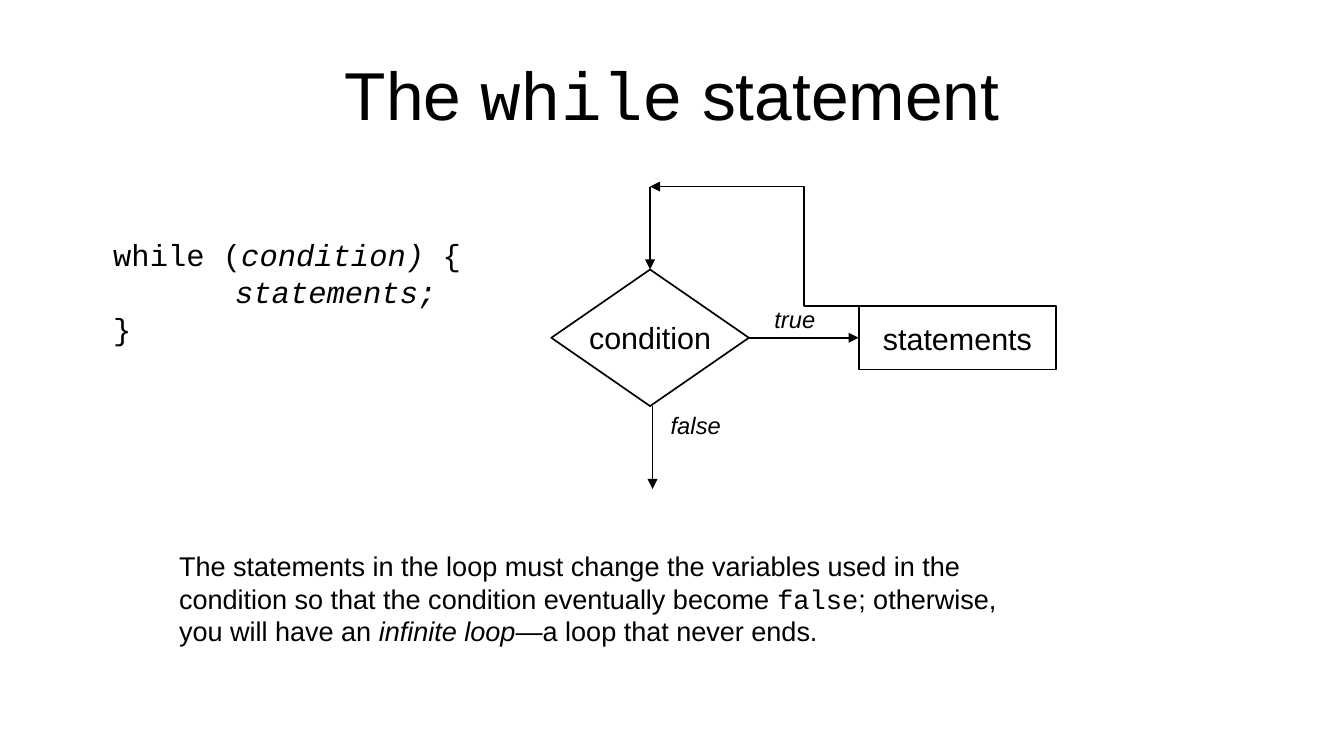
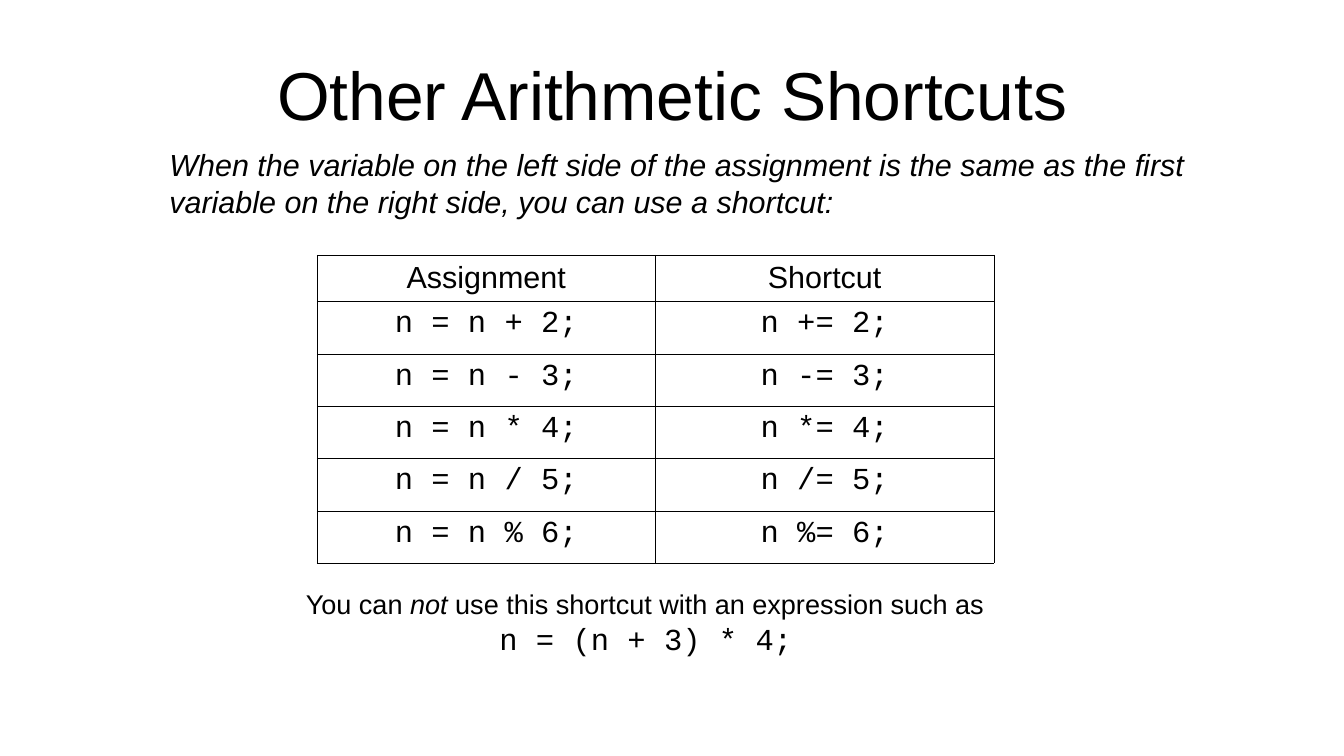
from dataclasses import dataclass

from pptx import Presentation
from pptx.dml.color import RGBColor
from pptx.enum.shapes import MSO_CONNECTOR as Link, MSO_SHAPE as Preset
from pptx.enum.text import MSO_ANCHOR as Anchor, MSO_AUTO_SIZE as AutoSize, PP_ALIGN as Align
from pptx.oxml.ns import qn
from pptx.oxml.xmlchemy import OxmlElement
from pptx.util import Emu, Inches, Pt

# Shared look
INK = RGBColor(0x00, 0x00, 0x00)
PAPER = RGBColor(0xFF, 0xFF, 0xFF)
SANS = {"name": "Arial"}
CODE = {"name": "Courier New"}
ITALIC = {"italic": True}
TITLE_SIZE, MAIN_SIZE, NOTE_SIZE, LABEL_SIZE = Pt(40), Pt(18), Pt(16), Pt(14)
STROKE = Pt(1)
HAIRLINE = 762
TEXT_INSETS = (0.1, 0.05)
NODE_INSETS = (0.11, 0.06)


@dataclass
class Box:
    """An area whose inner areas are given as percentages of its width and height."""
    left: int
    top: int
    width: int
    height: int

    def point(self, x, y):
        return (Emu(round(self.left + self.width * x / 100)),
                Emu(round(self.top + self.height * y / 100)))

    def area(self, x, y, w, h):
        return Box(*self.point(x, y), Emu(round(self.width * w / 100)),
                   Emu(round(self.height * h / 100)))

    def bounds(self):
        return self.left, self.top, self.width, self.height


def apply_format(target, values):
    for attribute, value in values.items():
        setattr(target, attribute, value)


def write(frame, paragraphs, size, align=Align.LEFT):
    """Each paragraph is a list of (words, font format) pairs."""
    for index, pieces in enumerate(paragraphs):
        paragraph = frame.paragraphs[0] if index == 0 else frame.add_paragraph()
        paragraph.alignment = align
        for words, font_format in pieces:
            run = paragraph.add_run()
            run.text = words
            apply_format(run.font, {"size": size, "italic": False, **SANS, **font_format})
            run.font.color.rgb = INK


def set_frame(frame, insets, anchor=Anchor.TOP, wrap=True):
    across, down = map(Inches, insets)
    apply_format(frame, {
        "auto_size": AutoSize.NONE, "word_wrap": wrap, "vertical_anchor": anchor,
        "margin_left": across, "margin_right": across,
        "margin_top": down, "margin_bottom": down,
    })


def add_text(slide, box, paragraphs, size, wrap=True):
    frame = slide.shapes.add_textbox(*box.bounds()).text_frame
    set_frame(frame, TEXT_INSETS, wrap=wrap)
    write(frame, paragraphs, size)
    return frame


def add_titled_slide(prs, page, title):
    slide = prs.slides.add_slide(prs.slide_layouts[5])
    heading = slide.shapes.title
    left, top, width, height = page.area(5, 4.03, 90, 16.77).bounds()
    apply_format(heading, {"left": left, "top": top, "width": width, "height": height})
    set_frame(heading.text_frame, (0, 0), Anchor.MIDDLE)
    write(heading.text_frame, [title], TITLE_SIZE, Align.CENTER)
    return slide


# Flow chart elements
def add_node(slide, preset, box, words):
    node = slide.shapes.add_shape(preset, *box.bounds())
    node.shadow.inherit = False
    node.fill.solid()
    node.fill.fore_color.rgb = PAPER
    node.line.color.rgb = INK
    node.line.width = STROKE
    set_frame(node.text_frame, NODE_INSETS, Anchor.MIDDLE, wrap=False)
    write(node.text_frame, [[(words, SANS)]], MAIN_SIZE, Align.CENTER)
    return node


def add_arrow(slide, start, end, route=Link.STRAIGHT):
    arrow = slide.shapes.add_connector(route, *start, *end)
    arrow.line.color.rgb = INK
    arrow.line.width = STROKE
    properties = arrow._element.spPr
    head = OxmlElement("a:tailEnd")
    head.set("type", "triangle")
    properties.find(qn("a:ln")).append(head)
    properties.append(OxmlElement("a:effectLst"))
    return arrow


def add_flow_chart(slide, box):
    condition = add_node(slide, Preset.FLOWCHART_DECISION,
                         box.area(0, 27.42, 39.13, 45.16), "condition")
    statements = add_node(slide, Preset.FLOWCHART_PROCESS,
                          box.area(60.87, 39.52, 39.13, 20.97), "statements")

    entry = add_arrow(slide, box.point(19.57, 0), box.point(19.57, 27.42))
    entry.end_connect(condition, 0)
    when_true = add_arrow(slide, box.point(39.13, 50), box.point(60.87, 50))
    when_true.begin_connect(condition, 3)
    when_true.end_connect(statements, 1)
    # Way back to the test, and way out of the loop
    add_arrow(slide, box.point(80.43, 39.52), box.point(19.57, 0), Link.ELBOW)
    add_arrow(slide, box.point(20.05, 72.58), box.point(20.05, 100))

    for words, place in (("true", (41.79, 37.1, 12.8, 12.9)),
                         ("false", (21.26, 72.18, 14.73, 12.9))):
        add_text(slide, box.area(*place), [[(words, ITALIC)]], LABEL_SIZE, wrap=False)


def add_code_sample(slide, box):
    slanted = {**CODE, **ITALIC}
    frame = add_text(slide, box, [
        [("while (", CODE), ("condition)", slanted), (" {", CODE)],
        [("statements;", slanted)],
        [("}", CODE)],
    ], MAIN_SIZE)
    frame.paragraphs[1]._p.get_or_add_pPr().set("marL", str(Inches(1)))


# Table elements
def set_borders(cell):
    properties = cell._tc.get_or_add_tcPr()
    for side in ("a:lnL", "a:lnR", "a:lnT", "a:lnB"):
        border = OxmlElement(side)
        border.set("w", str(HAIRLINE))
        fill = OxmlElement("a:solidFill")
        color = OxmlElement("a:srgbClr")
        color.set("val", str(INK))
        fill.append(color)
        border.append(fill)
        properties.append(border)


def add_shortcut_table(slide, box):
    operators = zip("+-*/%", range(2, 7))
    rows = [("Assignment", "Shortcut")]
    rows += [(f"n = n {sign} {number};", f"n {sign}= {number};") for sign, number in operators]
    table = slide.shapes.add_table(len(rows), len(rows[0]), *box.bounds()).table
    apply_format(table, {"first_row": False, "horz_banding": False})
    for row_index, row in enumerate(rows):
        is_header = row_index == 0
        table.rows[row_index].height = box.area(0, 0, 100, 15 if is_header else 17).height
        for column_index, words in enumerate(row):
            cell = table.cell(row_index, column_index)
            set_borders(cell)
            cell.fill.solid()
            cell.fill.fore_color.rgb = PAPER
            write(cell.text_frame, [[(words, SANS if is_header else CODE)]],
                  MAIN_SIZE, Align.CENTER)


# Slides
def build_while_slide(prs, page):
    slide = add_titled_slide(prs, page, [("The ", SANS), ("while", CODE), (" statement", SANS)])
    add_code_sample(slide, page.area(7.53, 30.48, 27.68, 15.32))
    add_flow_chart(slide, page.area(41.02, 24.68, 37.57, 40))
    add_text(slide, page.area(12.43, 71.94, 64.79, 13.87), [[
        ("The statements in the loop must change the variables used in the condition "
         "so that the condition eventually become ", SANS),
        ("false", CODE),
        ("; otherwise, you will have an ", SANS),
        ("infinite loop—", ITALIC),
        ("a loop that never ends.", SANS),
    ]], NOTE_SIZE)


def build_shortcuts_slide(prs, page):
    slide = add_titled_slide(prs, page, [("Other Arithmetic Shortcuts", SANS)])
    add_text(slide, page.area(11.71, 18.55, 79.95, 10.65), [[
        ("When the variable on the left side of the assignment is the same as the first "
         "variable on the right side, you can use a shortcut:", ITALIC),
    ]], MAIN_SIZE)
    add_shortcut_table(slide, page.area(23.59, 33.71, 50.36, 40.81))
    caveat = add_text(slide, page.area(21.87, 76.94, 52.36, 10.16), [
        [("You can ", SANS), ("not", ITALIC),
         (" use this shortcut with an expression such as", SANS)],
        [("n = (n + 3) * 4;", {**CODE, "size": MAIN_SIZE})],
    ], NOTE_SIZE)
    caveat.paragraphs[1].alignment = Align.CENTER


def main():
    prs = Presentation()
    apply_format(prs, {"slide_width": Inches(11.02), "slide_height": Inches(6.2)})
    page = Box(0, 0, prs.slide_width, prs.slide_height)
    build_while_slide(prs, page)
    build_shortcuts_slide(prs, page)
    prs.save("out.pptx")


if __name__ == "__main__":
    main()
